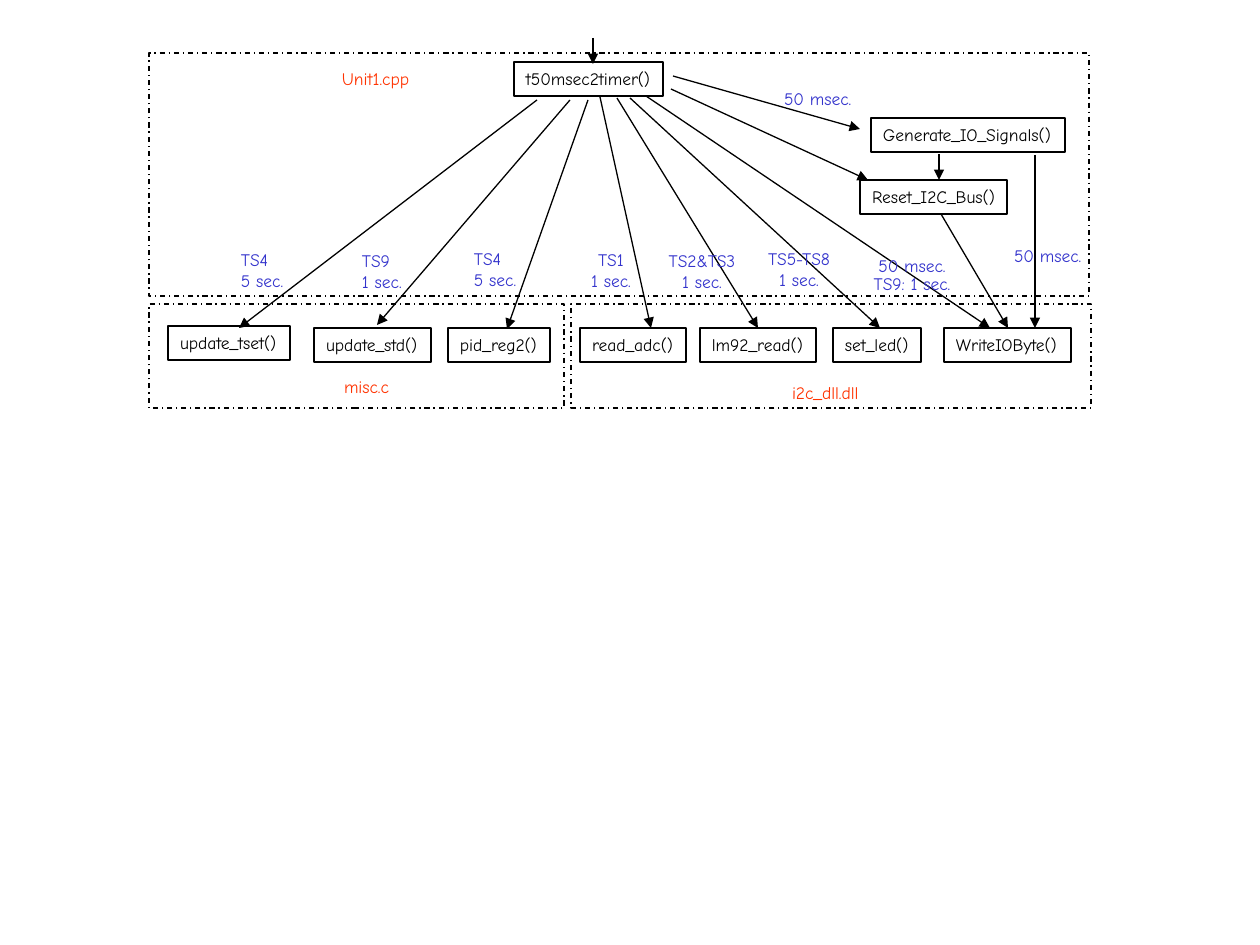
from dataclasses import dataclass

from lxml import etree
from pptx import Presentation
from pptx import util as u
from pptx.dml.color import RGBColor
from pptx.enum import dml, shapes, text
from pptx.oxml.ns import qn

PX_PER_INCH = 126
BOX_HEIGHT = 34
TWO_LINES = 55


@dataclass(frozen=True)
class Theme:
    font: str = "Comic Neue"
    size: float = 10
    line_width: float = 0.75
    ink: str = "000000"
    file_name: str = "FF3300"
    timing: str = "3333CC"


THEME = Theme()

# Dashed frames around each source file: left, top, width, height
MODULES = [
    (149, 53, 940, 243),
    (149, 304, 415, 104),
    (571, 304, 520, 104),
]

# Source file names: text, left, top, width
FILE_NAMES = [
    ("Unit1.cpp", 330, 62, 92),
    ("misc.c", 332, 370, 71),
    ("i2c_dll.dll", 780, 376, 92),
]

# Functions: name, left, top, width
FUNCTIONS = [
    ("t50msec2timer()", 514, 62, 149),
    ("Generate_IO_Signals()", 871, 118, 194),
    ("Reset_I2C_Bus()", 860, 180, 147),
    ("update_tset()", 168, 326, 122),
    ("update_std()", 314, 328, 117),
    ("pid_reg2()", 448, 328, 102),
    ("read_adc()", 580, 328, 106),
    ("lm92_read()", 700, 328, 116),
    ("set_led()", 833, 328, 88),
    ("WriteIOByte()", 944, 328, 127),
]

# Calls: start x, start y, end x, end y, function joined at its top middle
CALLS = [
    (593, 38, 593, 64, None),
    (537, 100, 239, 328, None),
    (570, 100, 377, 325, None),
    (588, 100, 507, 329, None),
    (600, 97, 651, 328, None),
    (617, 98, 758, 328, "lm92_read()"),
    (630, 98, 880, 328, None),
    (646, 96, 990, 328, None),
    (673, 76, 860, 129, None),
    (671, 89, 868, 180, None),
    (939, 154, 939, 180, None),
    (941, 214, 1008, 328, None),
    (1035, 155, 1035, 328, None),
]

# Call timings: text, left, top, width, height, centred
TIMINGS = [
    ("TS4\n5 sec.", 229, 243, 67, TWO_LINES, False),
    ("TS9\n1 sec.", 350, 244, 64, TWO_LINES, False),
    ("TS4\n5 sec.", 462, 242, 67, TWO_LINES, False),
    ("TS1\n1 sec.", 579, 243, 64, TWO_LINES, True),
    ("TS2&TS3\n1 sec.", 656, 244, 92, TWO_LINES, True),
    ("TS5-TS8\n1 sec.", 755, 242, 88, TWO_LINES, True),
    ("50 msec.", 772, 82, 92, BOX_HEIGHT, False),
    ("50 msec.", 1002, 239, 92, BOX_HEIGHT, False),
]


def px(*lengths):
    return [u.Emu(round(n * 914400 / PX_PER_INCH)) for n in lengths]


def style_line(line):
    line.color.rgb = RGBColor.from_string(THEME.ink)
    line.width = u.Pt(THEME.line_width)


def write(frame, words, color, centred=False, spacing=None):
    frame.text = words
    frame.word_wrap = True
    frame.auto_size = text.MSO_AUTO_SIZE.NONE
    frame.vertical_anchor = text.MSO_ANCHOR.TOP
    # Slim side margins leave every line room to stay whole
    frame.margin_left, frame.margin_right = px(2, 2) if centred else px(12, 0)
    for para in frame.paragraphs:
        para.alignment = text.PP_ALIGN.CENTER if centred else text.PP_ALIGN.LEFT
        if spacing:
            para.line_spacing = spacing
        for span in para.runs:
            span.font.name = THEME.font
            span.font.size = u.Pt(THEME.size)
            span.font.color.rgb = RGBColor.from_string(color)


def add_outline(page, left, top, width, height):
    box = page.shapes.add_shape(shapes.MSO_SHAPE.RECTANGLE,
                                *px(left, top, width, height))
    box.shadow.inherit = False
    box.fill.background()
    style_line(box.line)
    return box


def add_module(page, *bounds):
    add_outline(page, *bounds).line.dash_style = dml.MSO_LINE.DASH_DOT


def add_function(page, name, left, top, width):
    box = add_outline(page, left, top, width, BOX_HEIGHT)
    write(box.text_frame, name, THEME.ink)
    return box


def add_label(page, words, left, top, width, height, color, **layout):
    box = page.shapes.add_textbox(*px(left, top, width, height))
    write(box.text_frame, words, color, **layout)


def add_call(page, start_x, start_y, end_x, end_y, target=None):
    arrow = page.shapes.add_connector(shapes.MSO_CONNECTOR.STRAIGHT,
                                      *px(start_x, start_y, end_x, end_y))
    style_line(arrow.line)
    etree.SubElement(arrow.line._get_or_add_ln(), qn("a:tailEnd"), type="triangle")
    etree.SubElement(arrow._element.spPr, qn("a:effectLst"))
    if target is not None:
        arrow.end_connect(target, 0)


def main():
    deck = Presentation()
    deck.slide_width, deck.slide_height = px(1260, 945)
    page = deck.slides.add_slide(deck.slide_layouts[6])

    # Source files
    for bounds in MODULES:
        add_module(page, *bounds)
    for name, left, top, width in FILE_NAMES:
        add_label(page, name, left, top, width, BOX_HEIGHT, THEME.file_name)

    # Functions and the calls between them
    boxes = {row[0]: add_function(page, *row) for row in FUNCTIONS}
    for *ends, target in CALLS:
        add_call(page, *ends, boxes.get(target))

    # How often each call is made
    for *label, centred in TIMINGS:
        add_label(page, *label, THEME.timing, centred=centred)
    add_label(page, "50 msec.\nTS9: 1 sec.", 852, 252, 120, 49, THEME.timing,
              centred=True, spacing=0.85)

    deck.save("out.pptx")


if __name__ == "__main__":
    main()
